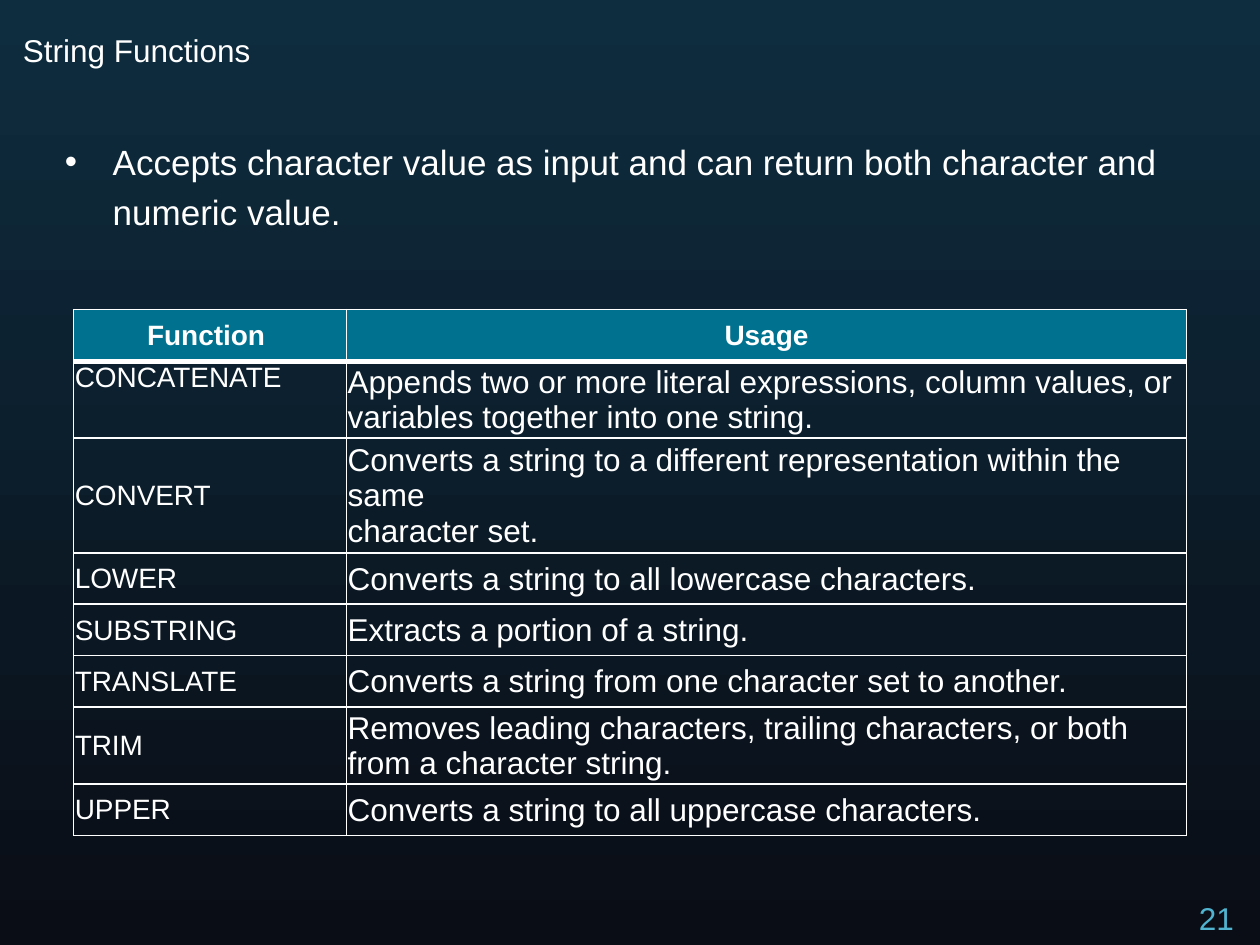
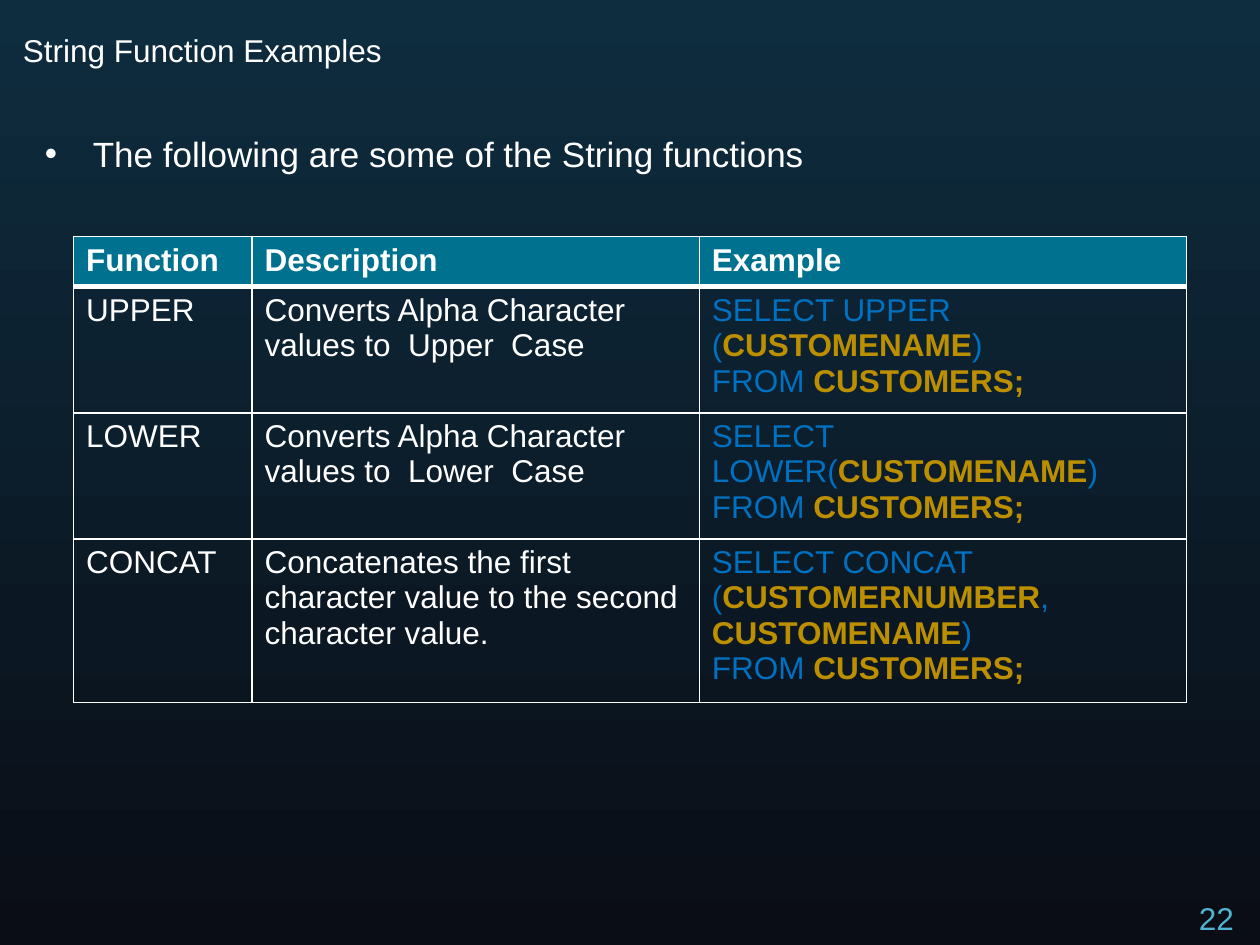
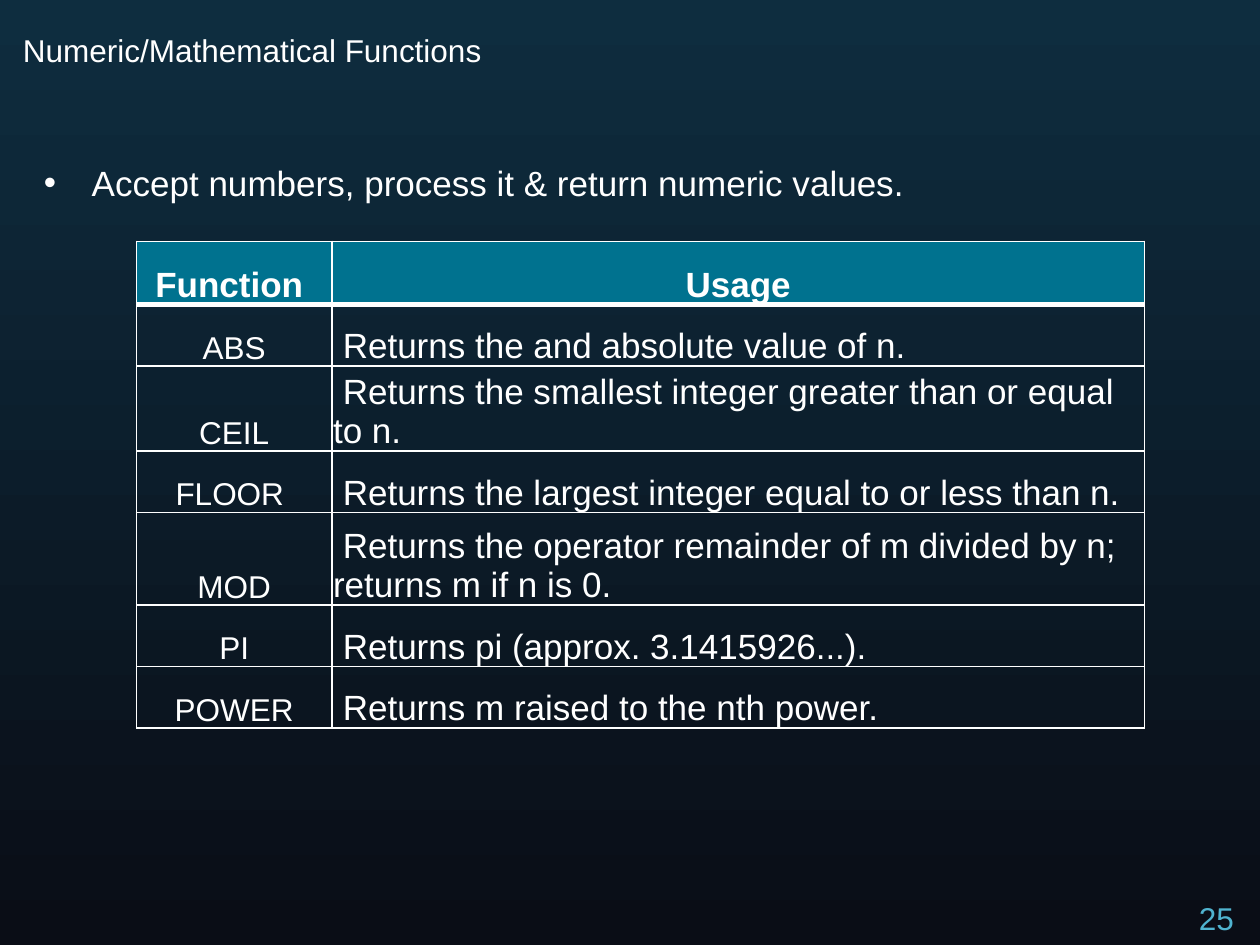
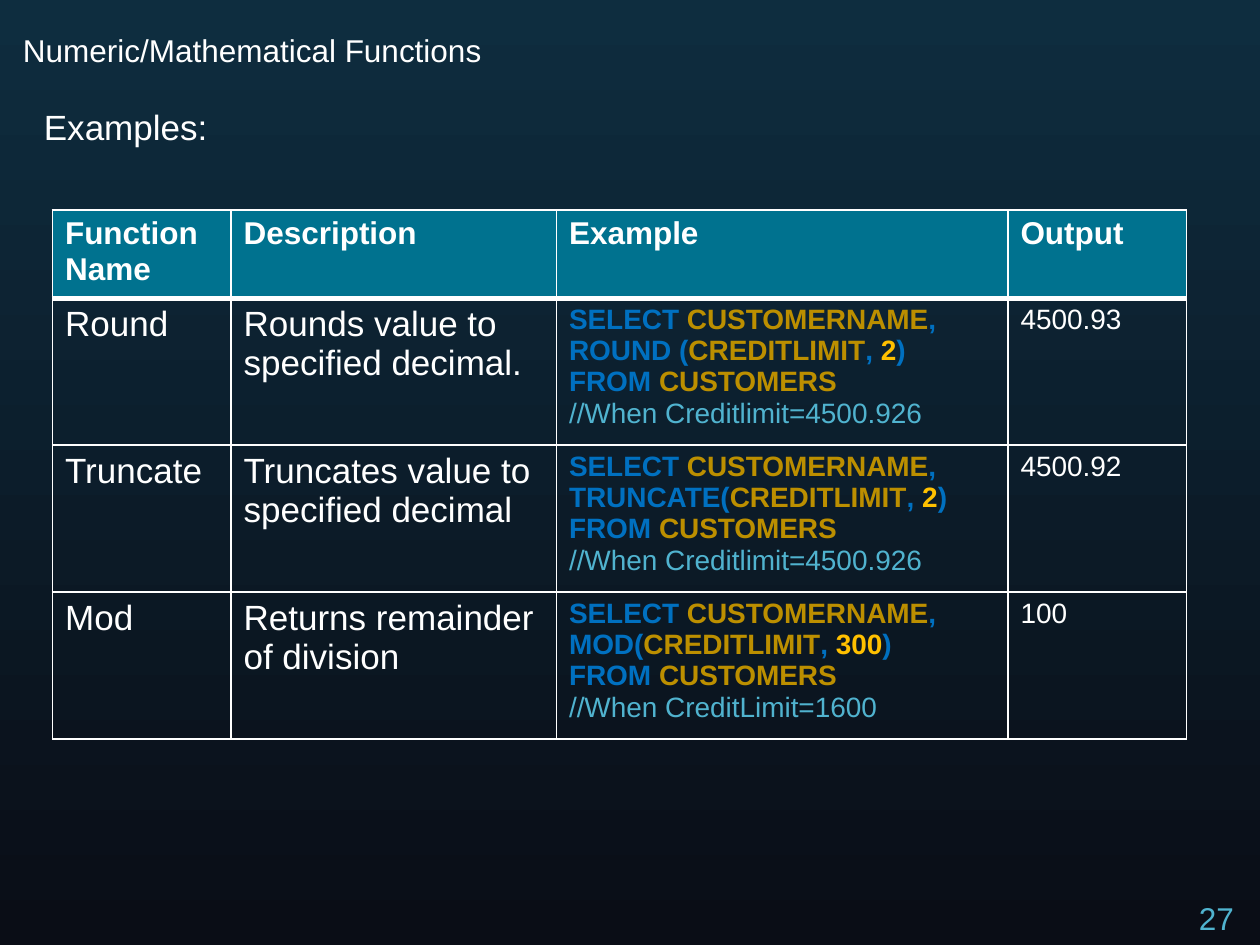
from dataclasses import dataclass
from typing import NamedTuple

from lxml.etree import SubElement
from pptx import Presentation
from pptx.dml.color import RGBColor
from pptx.enum.text import MSO_ANCHOR, PP_ALIGN
from pptx.oxml import parse_xml
from pptx.oxml.ns import nsdecls, qn
from pptx.util import Inches, Pt

NAVY = RGBColor(0x0E, 0x2D, 0x3F)
NIGHT = RGBColor(0x0A, 0x0D, 0x16)
WHITE = RGBColor(0xFF, 0xFF, 0xFF)
TEAL = RGBColor(0x00, 0x72, 0x8F)
SKY = RGBColor(0x50, 0xB3, 0xCF)
BLUE = RGBColor(0x00, 0x70, 0xC0)
GOLD = RGBColor(0xBC, 0x8F, 0x00)
AMBER = RGBColor(0xFF, 0xC0, 0x00)

FONT = "Arial"
WIDE, HIGH = Inches(10), Inches(7.5)
UNIT = WIDE / 120
HANG = Inches(0.38)
LEFT, MID = PP_ALIGN.LEFT, PP_ALIGN.CENTER
TOP, CORE, LOW = MSO_ANCHOR.TOP, MSO_ANCHOR.MIDDLE, MSO_ANCHOR.BOTTOM


class Run(NamedTuple):
    text: str
    color: RGBColor = WHITE
    bold: bool = False


class Box(NamedTuple):
    left: float
    top: float
    width: float
    height: float


class Col(NamedTuple):
    width: float
    size: int
    align: PP_ALIGN = LEFT


Line = list[Run]
Cell = str | list[Line]


@dataclass
class Grid:
    box: Box
    cols: list[Col]
    rows: list[float]
    cells: list[list[Cell]]
    head: int
    align: PP_ALIGN = LEFT
    anchor: MSO_ANCHOR = TOP
    tight: bool = False


@dataclass
class Page:
    title: str
    number: int
    text: str
    box: Box
    grid: Grid
    bullet: bool = True
    before: int = 4
    space: float = 1.0


TITLE = Box(1, 2.4, 90, 7)
NUMBER = Box(113, 85, 7, 5)


def span(units: float) -> int:
    return round(units * UNIT)


def write(para, run: Run, size: int) -> None:
    for i, part in enumerate(run.text.split("\n")):
        if i:
            para.add_line_break()
        item = para.add_run()
        item.text = part
        item.font.name = FONT
        item.font.size = Pt(size)
        item.font.bold = run.bold
        item.font.color.rgb = run.color


def add_text(slide, box: Box, run: Run, size: int):
    shape = slide.shapes.add_textbox(*map(span, box))
    shape.text_frame.word_wrap = True
    para = shape.text_frame.paragraphs[0]
    write(para, run, size)
    return para


def add_body(slide, page: Page) -> None:
    para = add_text(slide, page.box, Run(page.text), 20)
    para.space_before = Pt(page.before)
    para.line_spacing = page.space
    if page.bullet:
        props = para._p.get_or_add_pPr()
        props.set("marL", str(HANG))
        props.set("indent", str(-HANG))
        SubElement(props, qn("a:buFont")).set("typeface", FONT)
        SubElement(props, qn("a:buChar")).set("char", "•")


def add_edges(cell, row: int) -> None:
    props = cell._tc.get_or_add_tcPr()
    sizes = {"L": 1, "R": 1, "T": 3 if row == 1 else 1, "B": 1 if row else 3}
    for i, (side, size) in enumerate(sizes.items()):
        edge = parse_xml(
            f'<a:ln{side} {nsdecls("a")} w="{Pt(size)}"><a:solidFill>'
            f'<a:srgbClr val="{WHITE}"/></a:solidFill></a:ln{side}>'
        )
        props.insert(i, edge)


def fill_cell(cell, value: Cell, row: int, col: Col, grid: Grid) -> None:
    cell.vertical_anchor = TOP if value == "CONCATENATE" else grid.anchor
    if grid.tight:
        cell.margin_left = cell.margin_right = cell.margin_top = Inches(0.01)
        cell.margin_bottom = 0
    if row:
        cell.fill.background()
    else:
        cell.fill.solid()
        cell.fill.fore_color.rgb = TEAL
    add_edges(cell, row)
    lines = [[Run(value, bold=not row)]] if isinstance(value, str) else value
    frame = cell.text_frame
    for i, line in enumerate(lines):
        para = frame.add_paragraph() if i else frame.paragraphs[0]
        para.alignment = col.align if row else grid.align
        for run in line:
            write(para, run, col.size if row else grid.head)


def add_grid(slide, grid: Grid) -> None:
    frame = slide.shapes.add_table(
        len(grid.rows), len(grid.cols), *map(span, grid.box)
    )
    table = frame.table
    table.first_row = table.horz_banding = False
    for i, col in enumerate(grid.cols):
        table.columns[i].width = span(col.width)
    for i, height in enumerate(grid.rows):
        table.rows[i].height = span(height)
        for j, col in enumerate(grid.cols):
            fill_cell(table.cell(i, j), grid.cells[i][j], i, col, grid)
    frame.height = span(grid.box.height)


def call(start: str, *names: str) -> list[Line]:
    line = [Run(f"SELECT {start}", BLUE)]
    for i, name in enumerate(names):
        if i:
            line.append(Run(", ", BLUE))
        line.append(Run(name, GOLD, True))
    line.append(Run(")", BLUE))
    return [line, [Run("FROM ", BLUE), Run("CUSTOMERS;", GOLD, True)]]


def query(func: str, digit: str, note: str, wrap: bool = True) -> list[Line]:
    pick = [Run("SELECT ", BLUE, True), Run("CUSTOMERNAME", GOLD, True)]
    args = [
        Run("CREDITLIMIT", GOLD, True),
        Run(", ", BLUE, True),
        Run(digit, AMBER, True),
        Run(")", BLUE, True),
    ]
    if wrap:
        lines = [
            pick + [Run(",", BLUE, True)],
            [Run(func, BLUE, True)] + args,
        ]
    else:
        lines = [pick + [Run(f", {func}", BLUE, True)] + args]
    return lines + [
        [Run("FROM ", BLUE, True), Run("CUSTOMERS", GOLD, True)],
        [Run(f"//When {note}", SKY)],
    ]


STRINGS = Grid(
    Box(7, 29.5, 106, 49.9),
    [Col(26, 16), Col(80, 18)],
    [4.9] * 8,
    [
        ["Function ", "Usage"],
        ["CONCATENATE", "Appends two or more literal expressions, column values, or\n"
         "variables together into one string."],
        ["CONVERT", "Converts a string to a different representation within the same\n"
         "character set."],
        ["LOWER", "Converts a string to all lowercase characters."],
        ["SUBSTRING", "Extracts a portion of a string."],
        ["TRANSLATE", "Converts a string from one character set to another."],
        ["TRIM", "Removes leading characters, trailing characters, or both "
         "from a character string."],
        ["UPPER", "Converts a string to all uppercase characters."],
    ],
    16, MID, CORE, True,
)

SAMPLES = Grid(
    Box(7, 22.5, 106, 44.4),
    [Col(17, 18), Col(42.6, 18), Col(46.4, 18)],
    [3.7] + [6.4] * 3,
    [
        ["Function", "Description", "Example"],
        ["UPPER", "Converts Alpha Character values to  Upper  Case",
         call("UPPER (", "CUSTOMENAME")],
        ["LOWER", "Converts Alpha Character values to  Lower  Case",
         call("LOWER(", "CUSTOMENAME")],
        ["CONCAT", "Concatenates the first character value to the second "
         "character value.",
         call("CONCAT (", "CUSTOMERNUMBER", "CUSTOMENAME")],
    ],
    18,
)

NUMBERS = Grid(
    Box(13, 23, 96, 46.3),
    [Col(18.6, 18, MID), Col(77.4, 20)],
    [6, 5.85, 5.85, 5.85, 8.8, 5.85, 5.85],
    [
        ["Function ", "Usage"],
        ["ABS", " Returns the and absolute value of n."],
        ["CEIL", " Returns the smallest integer greater than or equal to n."],
        ["FLOOR ", " Returns the largest integer equal to or less than n."],
        ["MOD", " Returns the operator remainder of m divided by n; "
         "returns m if n is 0."],
        ["PI", " Returns pi (approx. 3.1415926...)."],
        ["POWER", " Returns m raised to the nth power."],
    ],
    20, MID, LOW, True,
)

RESULTS = Grid(
    Box(5, 20, 108, 50.4),
    [Col(17, 20), Col(31, 20), Col(43, 16), Col(17, 16)],
    [3.5, 11.2, 14, 8.3],
    [
        ["Function Name", "Description", "Example", "Output"],
        ["Round", "Rounds value to specified decimal.",
         query("ROUND (", "2", "Creditlimit=4500.926"), "4500.93"],
        ["Truncate", "Truncates value to specified decimal",
         query("TRUNCATE(", "2", "Creditlimit=4500.926", False), "4500.92"],
        ["Mod", "Returns remainder of division",
         query("MOD(", "300", "CreditLimit=1600"), "100"],
    ],
    18,
)

PAGES = [
    Page("String Functions", 21,
         "Accepts character value as input and can return both character and "
         "numeric value.",
         Box(5, 12, 108, 14.9), STRINGS, space=1.2),
    Page("String Function Examples", 22,
         "The following are some of the String functions",
         Box(3.1, 12, 108, 7.4), SAMPLES, before=12),
    Page("Numeric/Mathematical Functions", 25,
         "Accept numbers, process it & return numeric values.",
         Box(3, 14, 108, 12), NUMBERS, space=1.2),
    Page("Numeric/Mathematical Functions", 27, "Examples:",
         Box(3, 9.5, 108, 6.5), RESULTS, bullet=False),
]


def add_page(deck, page: Page) -> None:
    slide = deck.slides.add_slide(deck.slide_layouts[6])
    add_body(slide, page)
    add_text(slide, TITLE, Run(page.title), 18)
    add_text(slide, NUMBER, Run(str(page.number), SKY), 18)
    add_grid(slide, page.grid)


def main() -> None:
    deck = Presentation()
    deck.slide_width, deck.slide_height = WIDE, HIGH
    fill = deck.slide_master.background.fill
    fill.gradient()
    fill.gradient_angle = 270
    for stop, color in zip(fill.gradient_stops, (NAVY, NIGHT)):
        stop.color.rgb = color
    for page in PAGES:
        add_page(deck, page)
    deck.save("out.pptx")


if __name__ == "__main__":
    main()
